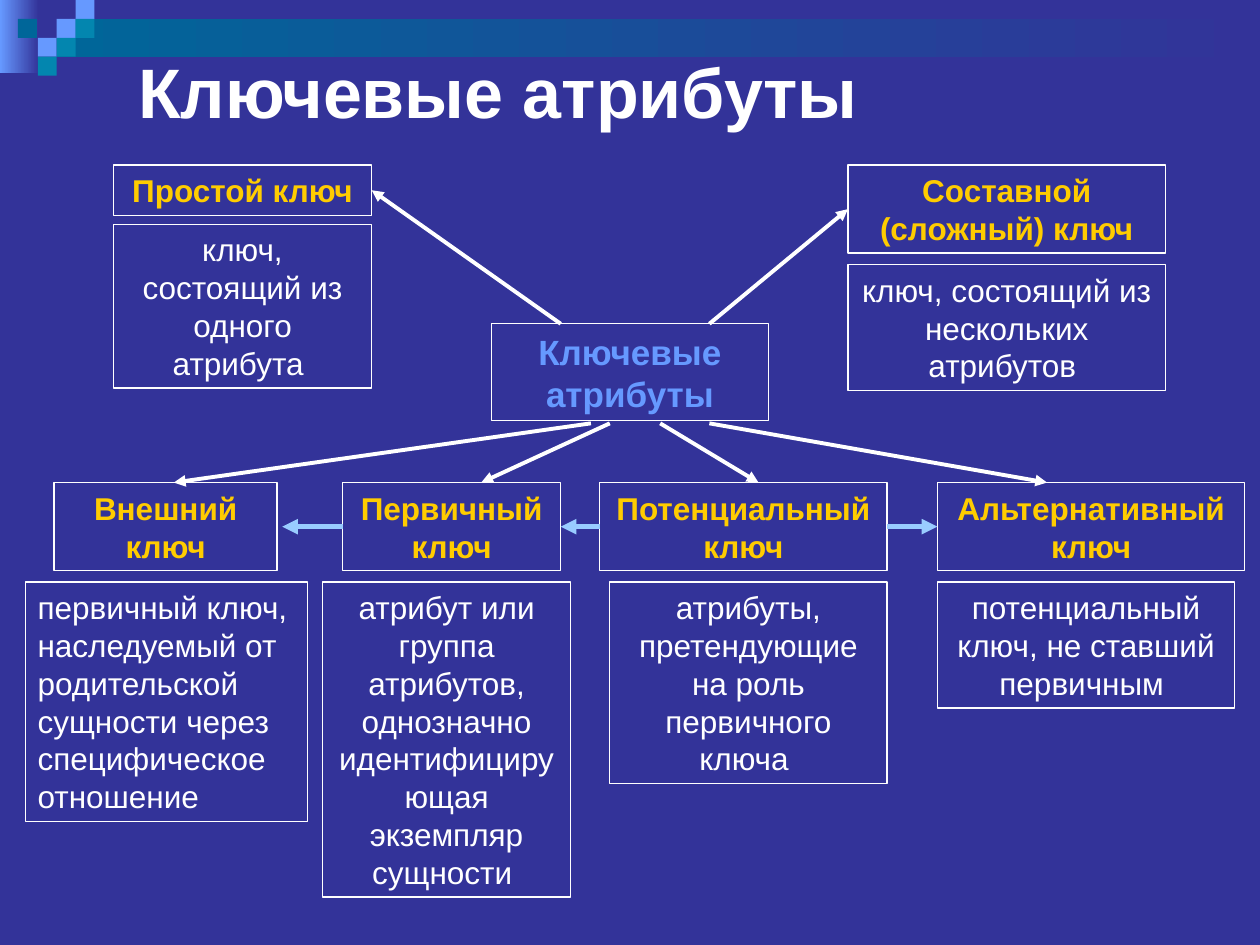
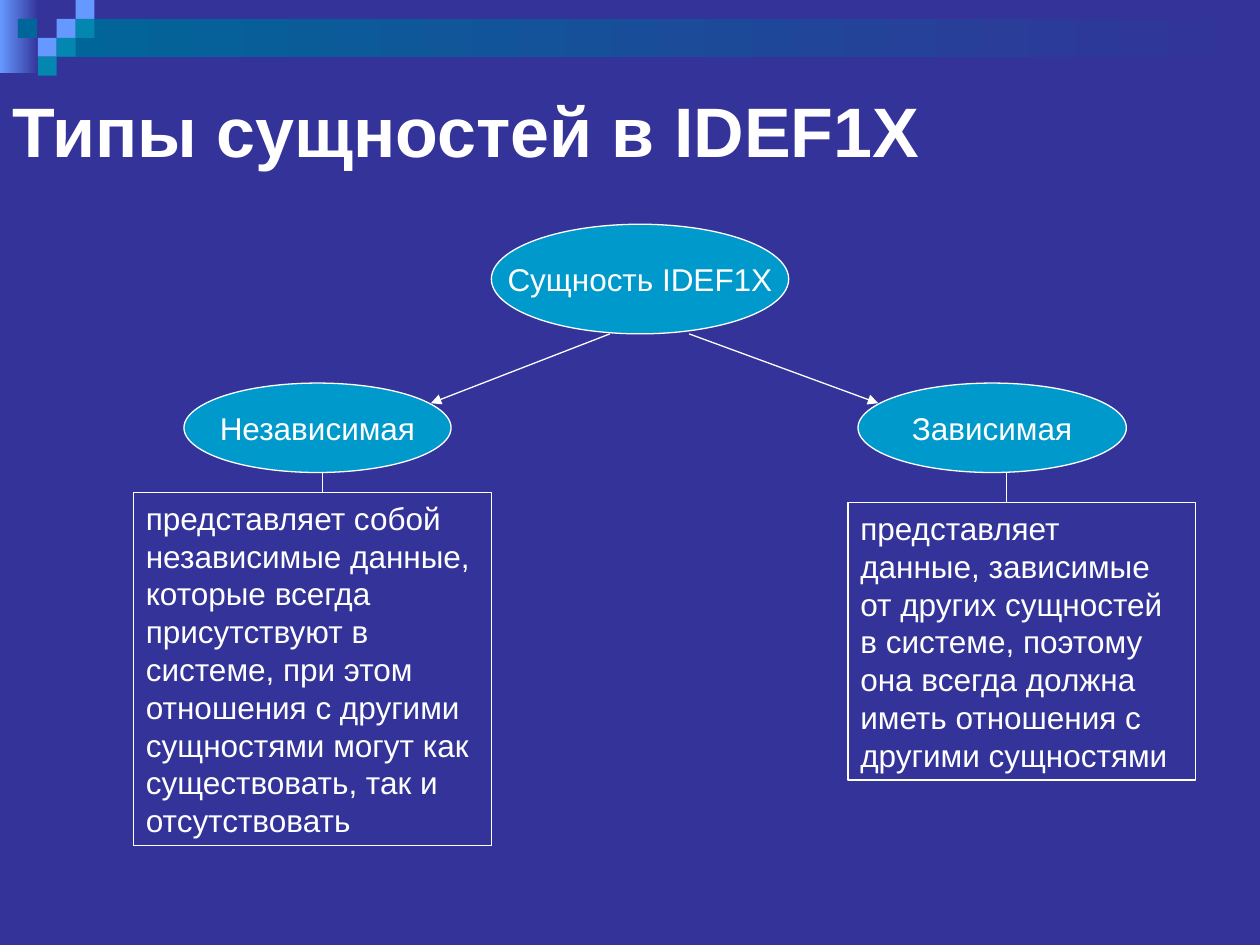
from lxml.etree import SubElement
from pptx import Presentation
from pptx.dml.color import RGBColor
from pptx.enum.shapes import MSO_CONNECTOR, MSO_SHAPE
from pptx.enum.text import MSO_ANCHOR, MSO_AUTO_SIZE, PP_ALIGN
from pptx.oxml.ns import qn
from pptx.util import Inches, Pt

WHITE = RGBColor(0xFF, 0xFF, 0xFF)
NAVY = RGBColor(0x33, 0x33, 0x99)
GOLD = RGBColor(0xFF, 0xCC, 0x00)
PERIWINKLE = RGBColor(0x66, 0x99, 0xFF)
SKY = RGBColor(0x99, 0xCC, 0xFF)
AZURE = RGBColor(0x00, 0x99, 0xCC)
TEAL = RGBColor(0x03, 0x86, 0xAF)
PETROL = RGBColor(0x00, 0x66, 0x99)

# The slide is a grid of 100 columns by 75 rows of square cells.
COLUMNS, ROWS = 100, 75
CELL = Inches(0.1)
TILE = 1.5  # side of a corner mosaic square, in cells


def add_figure(slide, geometry, area, text="", color=WHITE, size=18, bold=False,
               align=PP_ALIGN.CENTER, fill=None, outline=WHITE):
    """Add a preset shape; area is left, top, width, height in cells."""
    figure = slide.shapes.add_shape(geometry, *(round(n * CELL) for n in area))
    figure.shadow.inherit = False
    if fill is None:
        figure.fill.background()
    else:
        figure.fill.solid()
        figure.fill.fore_color.rgb = fill
    if outline is None:
        figure.line.fill.background()
    else:
        figure.line.color.rgb = outline
        figure.line.width = Pt(0.75)
    if text:
        frame = figure.text_frame
        oval = geometry == MSO_SHAPE.OVAL
        frame.word_wrap = not oval
        frame.vertical_anchor = MSO_ANCHOR.MIDDLE if oval else MSO_ANCHOR.TOP
        frame.auto_size = MSO_AUTO_SIZE.NONE if oval else MSO_AUTO_SIZE.SHAPE_TO_FIT_TEXT
        paragraph = frame.paragraphs[0]
        paragraph.text = text
        paragraph.alignment = align
        paragraph.font.name = "Arial"
        paragraph.font.size = Pt(size)
        paragraph.font.bold = bold
        paragraph.font.color.rgb = color
    return figure


def add_line(slide, start, end, width, color=WHITE, arrow=True):
    """Add a straight line between two points given in cells."""
    line = slide.shapes.add_connector(
        MSO_CONNECTOR.STRAIGHT, *(round(n * CELL) for n in (*start, *end)))
    line.line.color.rgb = color
    line.line.width = Pt(width)
    if arrow:
        SubElement(line.line._get_or_add_ln(), qn("a:tailEnd"), type="triangle")
    SubElement(line._element.spPr, qn("a:effectLst"))
    return line


presentation = Presentation()
presentation.slide_width = COLUMNS * CELL
presentation.slide_height = ROWS * CELL

# Shared background, corner mosaic, band and title
bands = [((0, 0, 3.1, 5.8), PERIWINKLE), ((4.5, 1.5, 95.5, 3), PETROL)]
mosaic = [(3, 1, PERIWINKLE), (4, 0, PERIWINKLE), (4, 1, TEAL), (2, 2, PERIWINKLE),
          (0.95, 1, PETROL), (3, 2, TEAL), (2, 3, TEAL)]
headings = [("Ключевые атрибуты", (10, 2.8, 90, 8.7)),
            ("Типы сущностей в IDEF1X", (0, 5, 90, 10.5))]

for heading, area in headings:
    slide = presentation.slides.add_slide(presentation.slide_layouts[6])
    slide.background.fill.solid()
    slide.background.fill.fore_color.rgb = NAVY
    for band_area, band_color in bands:
        band = add_figure(slide, MSO_SHAPE.RECTANGLE, band_area, outline=None)
        band.fill.gradient()
        band.fill.gradient_angle = 0
        for stop, color in zip(band.fill.gradient_stops, (band_color, NAVY)):
            stop.color.rgb = color
    for column, row, color in mosaic:
        add_figure(slide, MSO_SHAPE.RECTANGLE, (column * TILE, row * TILE, TILE, TILE),
                   fill=color, outline=None)
    title = slide.shapes.add_textbox(*(round(n * CELL) for n in area)).text_frame
    title.word_wrap = True
    title.vertical_anchor = MSO_ANCHOR.MIDDLE
    title.paragraphs[0].text = heading
    title_font = title.paragraphs[0].font
    title_font.name, title_font.size, title_font.bold = "Arial", Pt(40), True
    title_font.color.rgb = WHITE

keys_slide, entities_slide = presentation.slides

# Key attributes: a central box with six kinds of key around it
add_figure(keys_slide, MSO_SHAPE.RECTANGLE, (39, 25.7, 22, 7.7), "Ключевые атрибуты",
           PERIWINKLE, size=20, bold=True)

# name, name area, definition, definition area, arrow start, arrow end
CENTER, LEFT = PP_ALIGN.CENTER, PP_ALIGN.LEFT
keys = [
    ("Составной (сложный) ключ", (67.3, 13.1, 25.2, 7),
     "ключ, состоящий из нескольких атрибутов ", (67.3, 21, 25.2, 10), CENTER,
     (56.3, 25.7), (67.3, 17)),
    ("Простой ключ", (9, 13.1, 20.5, 4),
     "ключ, состоящий из одного атрибута ", (9, 17.8, 20.5, 13), CENTER,
     (44.5, 25.7), (29.5, 14.7)),
    ("Внешний ключ", (4.3, 38.3, 17.7, 7),
     "первичный ключ, наследуемый от родительской сущности через специфическое отношение",
     (2, 46.2, 22.4, 19), LEFT, (46.9, 33.6), (13.8, 38.3)),
    ("Первичный ключ", (27.2, 38.3, 17.3, 7),
     "атрибут или группа атрибутов, однозначно идентифицирующая экземпляр сущности ",
     (25.6, 46.2, 19.7, 25), CENTER, (48.4, 33.6), (38.2, 38.3)),
    ("Потенциальный ключ", (47.6, 38.3, 22.8, 7),
     "атрибуты, претендующие на роль первичного ключа ",
     (48.4, 46.2, 22, 16), CENTER, (52.4, 33.6), (60.2, 38.3)),
    ("Альтернативный ключ", (74.4, 38.3, 24.4, 7),
     "потенциальный ключ, не ставший первичным ",
     (74.4, 46.2, 23.6, 10), CENTER, (56.3, 33.6), (83.1, 38.3)),
]
key_boxes, key_arrows = [], []
for name, name_area, definition, definition_area, align, start, end in keys:
    key_boxes.append(add_figure(keys_slide, MSO_SHAPE.RECTANGLE, name_area, name,
                                GOLD, bold=True))
    add_figure(keys_slide, MSO_SHAPE.RECTANGLE, definition_area, definition, align=align)
    key_arrows.append(add_line(keys_slide, start, end, 2.25))

composite, simple, foreign, primary, candidate, alternate = key_boxes
key_arrows[0].end_connect(composite, 1)
key_arrows[1].end_connect(simple, 3)

# How one kind of key becomes another
RELATION_ROW = 41.8
to_alternate, to_primary, to_foreign = (
    add_line(keys_slide, (start, RELATION_ROW), (end, RELATION_ROW), 3, SKY)
    for start, end in [(70.4, 74.4), (47.6, 44.5), (27.2, 22.4)])
to_alternate.begin_connect(candidate, 3)
to_alternate.end_connect(alternate, 1)
to_primary.begin_connect(candidate, 1)
to_primary.end_connect(primary, 3)
to_foreign.begin_connect(primary, 1)

# Entity types: a root with two branches, each with its definition
add_figure(entities_slide, MSO_SHAPE.OVAL, (39, 17.8, 23.6, 8.7), "Сущность IDEF1X",
           fill=AZURE)
branches = [
    ("Независимая", (14.6, 30.4, 21.2, 7.1),
     "представляет собой независимые данные, которые всегда присутствуют в системе, "
     "при этом отношения с другими сущностями могут как существовать, так и отсутствовать",
     (10.6, 39.1, 28.4, 28), (48.4, 26.5), (34.2, 32), 25.6),
    ("Зависимая", (68.1, 30.4, 21.3, 7.1),
     "представляет данные, зависимые от других сущностей в системе, "
     "поэтому она всегда должна иметь отношения с другими сущностями",
     (67.3, 39.9, 27.6, 22), (54.7, 26.5), (69.7, 32), 79.9),
]
for name, name_area, definition, definition_area, start, end, stem in branches:
    add_figure(entities_slide, MSO_SHAPE.OVAL, name_area, name, fill=AZURE)
    add_line(entities_slide, start, end, 0.75)
    add_figure(entities_slide, MSO_SHAPE.RECTANGLE, definition_area, definition, align=LEFT)
    add_line(entities_slide, (stem, 37.5), (stem, definition_area[1]), 0.75, arrow=False)

presentation.save("out.pptx")
